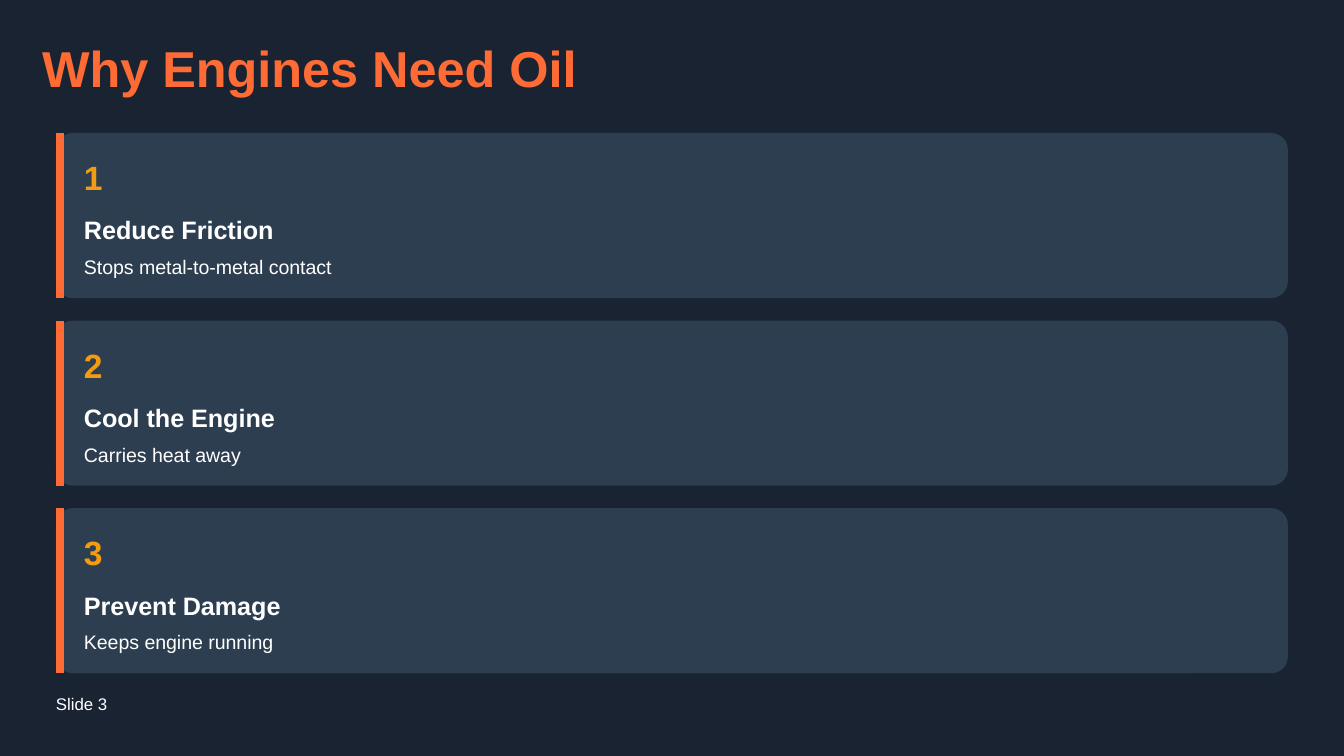
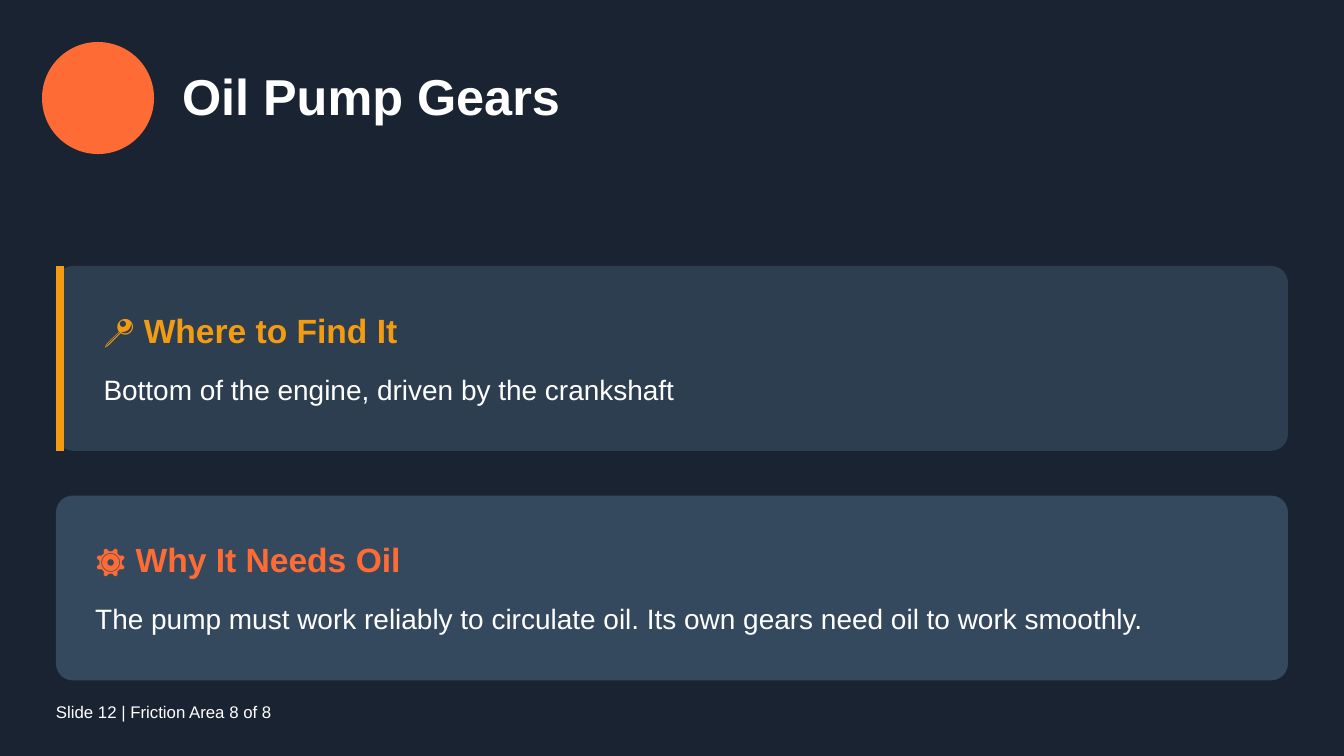
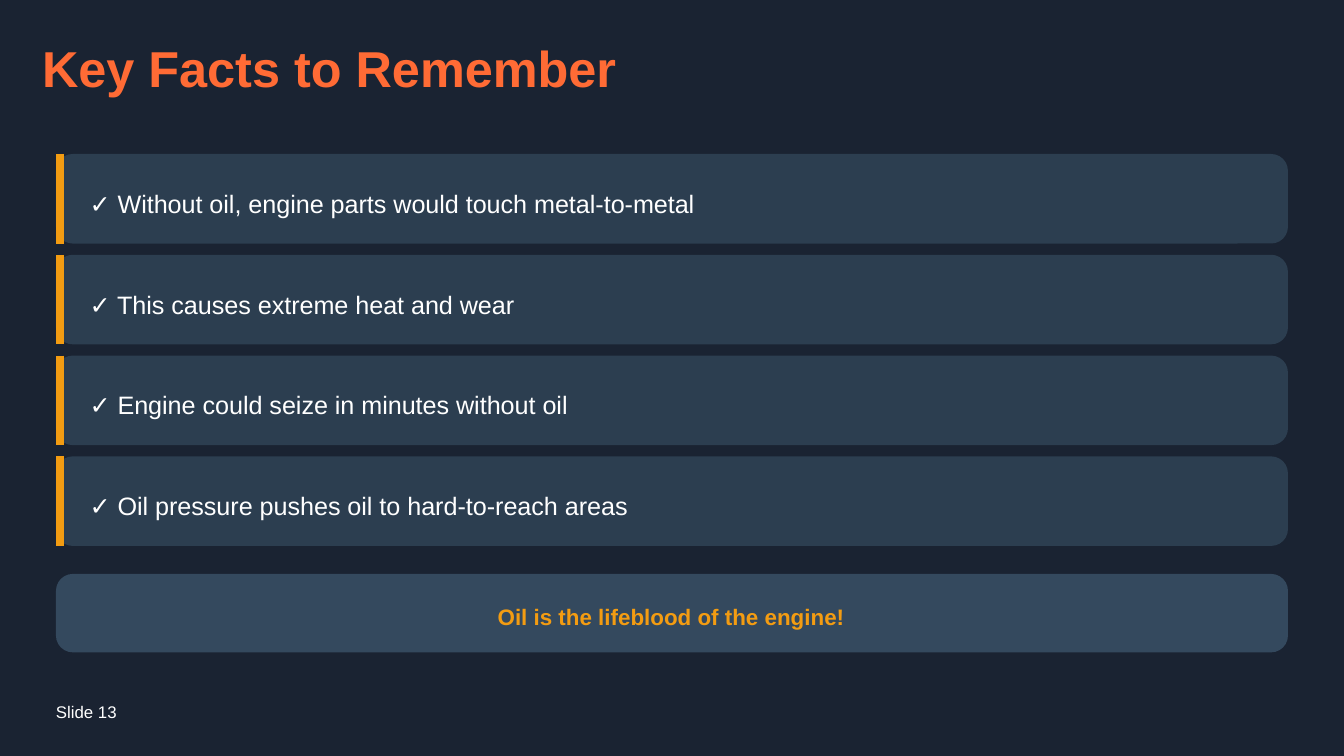
from pptx import Presentation
from pptx.dml.color import RGBColor
from pptx.enum.shapes import MSO_CONNECTOR as Connector, MSO_SHAPE as Shape
from pptx.enum.text import PP_ALIGN as Align
from pptx.oxml.ns import qn
from pptx.util import Pt

PX = 9525  # EMU in one pixel at 96 pixels to the inch
color = RGBColor.from_string

# Shared look
FONT = "Arial"
NIGHT, SLATE, STEEL = "1A2332", "2C3E50", "34495E"
ORANGE, AMBER, WHITE = "FF6B35", "F39C12", "FFFFFF"
CARD_LEFT, CARD_WIDTH, STRIPE_WIDTH = 40, 880, 6


def add_text(slide, text, left, top, width, height, size, text_color,
             bold=False, align=None, before=0, after=0):
    box = slide.shapes.add_textbox(left * PX, top * PX, width * PX, height * PX)
    frame = box.text_frame
    frame.word_wrap = True
    frame.margin_left = frame.margin_right = frame.margin_top = frame.margin_bottom = 0
    paragraph = frame.paragraphs[0]
    paragraph.alignment = align
    # The line pitch equals the box height, at 0.75 pt to the pixel
    paragraph.line_spacing = Pt(height * 0.75)
    paragraph.space_before, paragraph.space_after = Pt(before), Pt(after)
    run = paragraph.add_run()
    run.text = text
    run.font.name, run.font.size, run.font.bold = FONT, Pt(size), bold
    run.font.color.rgb = color(text_color)


def add_card(slide, top, height, fill, stripe=None,
             left=CARD_LEFT, width=CARD_WIDTH, radius=12):
    card = slide.shapes.add_shape(
        Shape.ROUNDED_RECTANGLE, left * PX, top * PX, width * PX, height * PX)
    card.adjustments[0] = radius / min(width, height)
    card.shadow.inherit = False
    card.fill.solid()
    card.fill.fore_color.rgb = color(fill)
    card.line.fill.background()
    if stripe:
        x = (left + STRIPE_WIDTH // 2) * PX
        line = slide.shapes.add_connector(
            Connector.STRAIGHT, x, top * PX, x, (top + height) * PX)
        line.line.width = STRIPE_WIDTH * PX
        line.line.color.rgb = color(stripe)
        properties = line._element.spPr
        properties.append(properties.makeelement(qn("a:effectLst"), {}))


presentation = Presentation()
presentation.slide_width, presentation.slide_height = 960 * PX, 540 * PX

slides = []
for _ in range(3):
    slide = presentation.slides.add_slide(presentation.slide_layouts[6])
    slide.background.fill.solid()
    slide.background.fill.fore_color.rgb = color(NIGHT)
    slides.append(slide)
reasons_slide, pump_slide, facts_slide = slides

# Titles
add_card(pump_slide, 30, 80, ORANGE, left=30, width=80, radius=40)
for slide, title, left, top, width, title_color in [
    (reasons_slide, "Why Engines Need Oil", 30, 30, 460, ORANGE),
    (pump_slide, "Oil Pump Gears", 130, 50, 276, WHITE),
    (facts_slide, "Key Facts to Remember", 30, 30, 460, ORANGE),
]:
    add_text(slide, title, left, top, width, 40, 27, title_color, bold=True)

# Three numbered reasons
reasons = [
    ("Reduce Friction", "Stops metal-to-metal contact"),
    ("Cool the Engine", "Carries heat away"),
    ("Prevent Damage", "Keeps engine running"),
]
for index, (heading, detail) in enumerate(reasons):
    top = 95 + 134 * index
    add_card(reasons_slide, top, 118, SLATE, ORANGE)
    add_text(reasons_slide, str(index + 1), 60, top + 14, 863, 32, 18, AMBER,
             bold=True, after=4.5)
    add_text(reasons_slide, heading, 60, top + 52, 863, 28, 13.5, WHITE,
             bold=True, after=3)
    add_text(reasons_slide, detail, 60, top + 84, 863, 20, 10.5, WHITE)

# Pump location and need for oil
for top, fill, stripe, left, width, heading, heading_color, detail in [
    (190, SLATE, AMBER, 74, 834, "📍 Where to Find It", AMBER,
     "Bottom of the engine, driven by the crankshaft"),
    (354, STEEL, None, 68, 841, "⚙️ Why It Needs Oil", ORANGE,
     "The pump must work reliably to circulate oil. "
     "Its own gears need oil to work smoothly."),
]:
    add_card(pump_slide, top, 132, fill, stripe)
    add_text(pump_slide, heading, left, top + 28, width, 32, 18, heading_color,
             bold=True, after=9)
    add_text(pump_slide, detail, left, top + 72, width, 28, 15, WHITE,
             before=3, after=3)

# Checked facts and the closing message
facts = [
    "Without oil, engine parts would touch metal-to-metal",
    "This causes extreme heat and wear",
    "Engine could seize in minutes without oil",
    "Oil pressure pushes oil to hard-to-reach areas",
]
for index, fact in enumerate(facts):
    top = 110 + 72 * index
    add_card(facts_slide, top, 64, SLATE, AMBER)
    add_text(facts_slide, f"✓ {fact}", 64, top + 18, 854, 28, 13.5, WHITE)
add_card(facts_slide, 410, 56, STEEL)
add_text(facts_slide, "Oil is the lifeblood of the engine!", 47, 426, 865, 24,
         12, AMBER, bold=True, align=Align.CENTER)

# Footers
for slide, footer, top, width, spacing in [
    (reasons_slide, "Slide 3", 494, 38, 0),
    (pump_slide, "Slide 12 | Friction Area 8 of 8", 500, 157, 3),
    (facts_slide, "Slide 13", 500, 45, 3),
]:
    add_text(slide, footer, CARD_LEFT, top, width, 16, 9, WHITE,
             before=spacing, after=spacing)

presentation.save("out.pptx")
